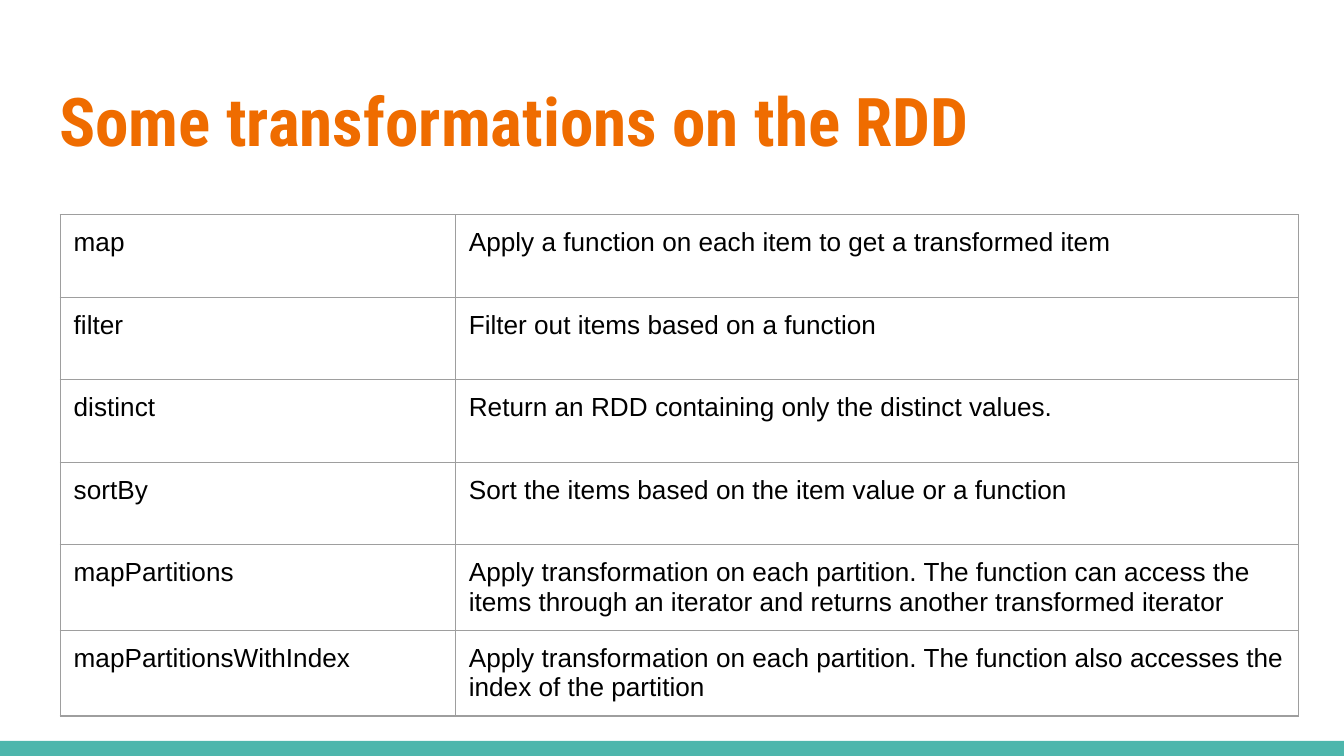
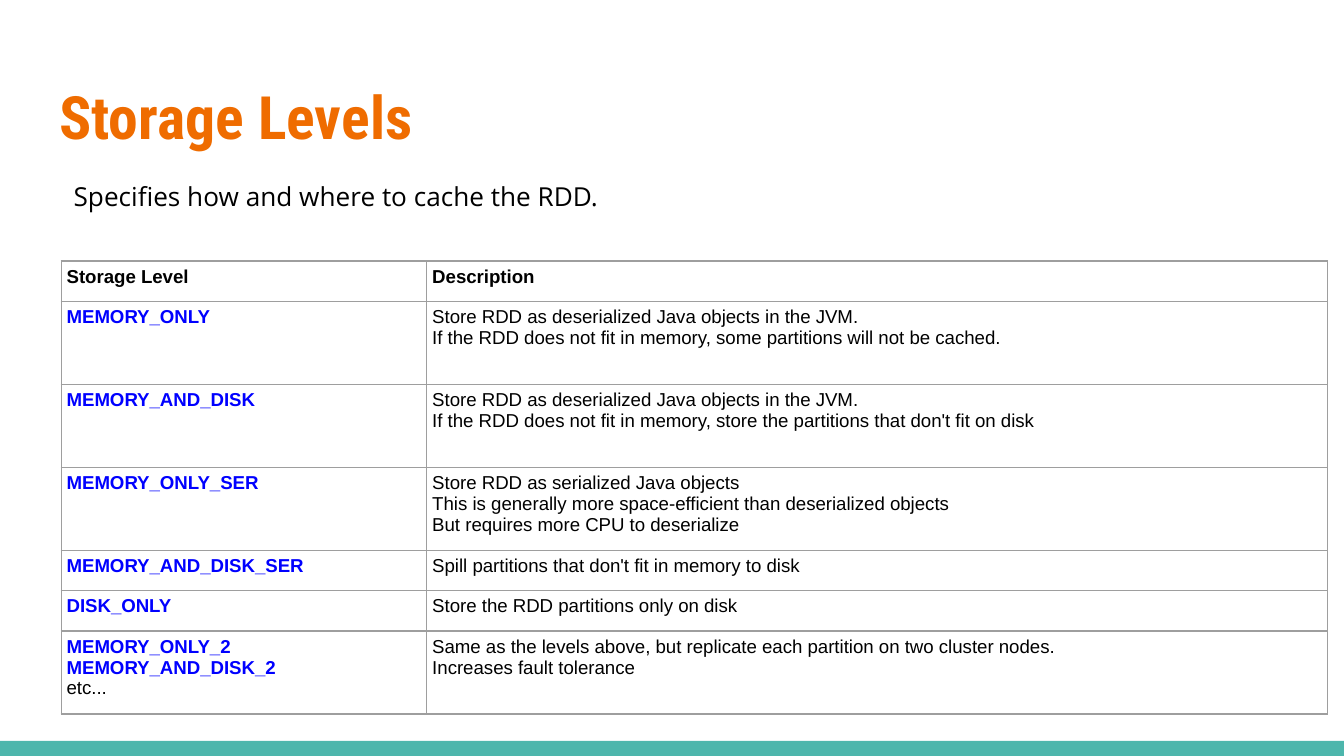
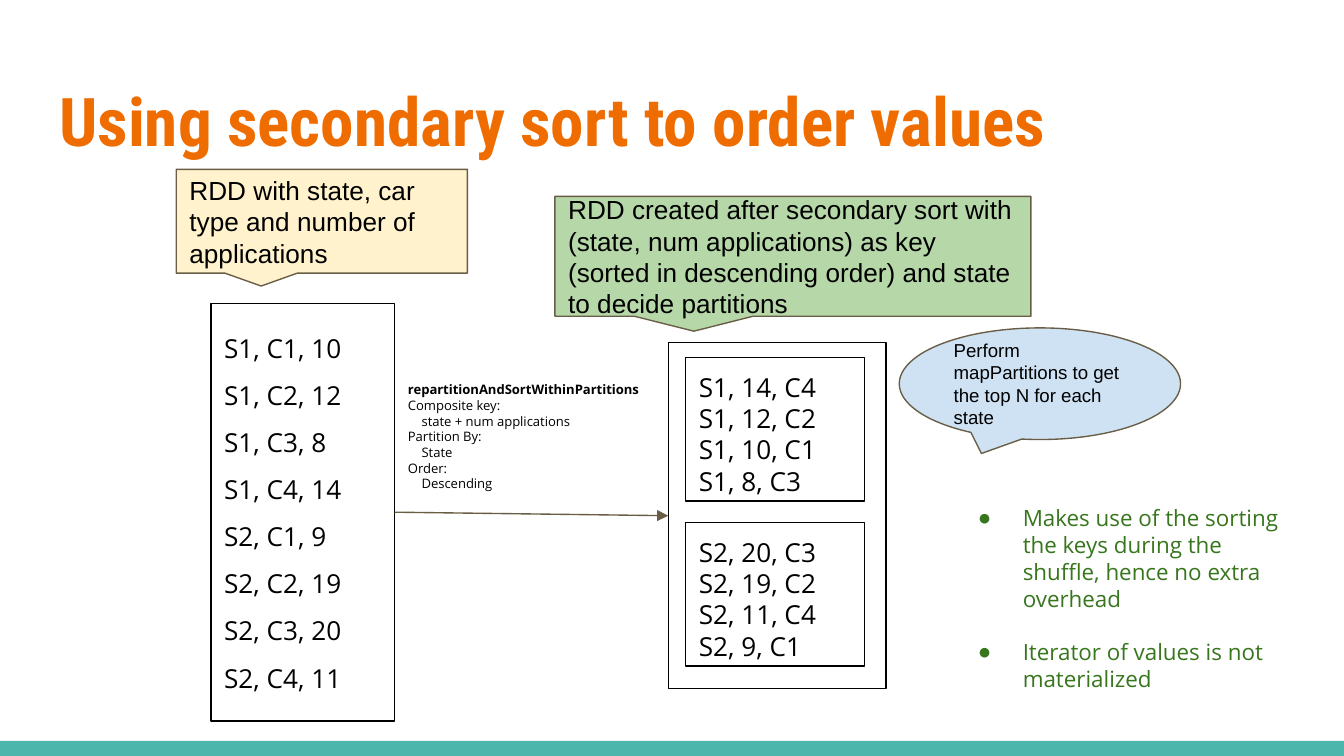
import dataclasses

import lxml.etree
import pptx
import pptx.chart.data
import pptx.dml.color
import pptx.enum.shapes
import pptx.enum.text
import pptx.oxml.ns
import pptx.util

Pt = pptx.util.Pt
qn = pptx.oxml.ns.qn
Kind = pptx.enum.shapes.MSO_SHAPE
Anchor = pptx.enum.text.MSO_ANCHOR


@dataclasses.dataclass(frozen=True)
class Theme:
    head: str = "Roboto Condensed"
    sans: str = "Open Sans"
    plain: str = "Arial"
    orange: str = "EF6C00"
    teal: str = "4DB6AC"
    black: str = "000000"
    blue: str = "0000FF"
    green: str = "38761D"
    grid: str = "9E9E9E"
    brown: str = "695D46"
    cream: str = "FFF2CC"
    mint: str = "B6D7A8"
    sky: str = "CFE2F3"
    big: float = 36
    mid: float = 32
    text: float = 14
    list: float = 12
    small: float = 10
    tiny: float = 7
    line: float = 0.75
    inset: float = 7.2


@dataclasses.dataclass(frozen=True)
class Line:
    text: str
    bold: bool = False
    color: str = Theme.black
    indent: float = 0


THEME = Theme()

MOVES = [
    ("map", "Apply a function on each item to get a transformed item"),
    ("filter", "Filter out items based on a function"),
    ("distinct", "Return an RDD containing only the distinct values."),
    ("sortBy", "Sort the items based on the item value or a function"),
    ("mapPartitions", "Apply transformation on each partition. The function can access the "
     "items through an iterator and returns another transformed iterator"),
    ("mapPartitionsWithIndex", "Apply transformation on each partition. The function also "
     "accesses the index of the partition"),
]

STORE = "Store RDD as deserialized Java objects in the JVM."
LEVELS = [
    (["MEMORY_ONLY"],
     [STORE, "If the RDD does not fit in memory, some partitions will not be cached."]),
    (["MEMORY_AND_DISK"],
     [STORE, "If the RDD does not fit in memory, store the partitions that don't fit on disk"]),
    (["MEMORY_ONLY_SER"],
     ["Store RDD as serialized Java objects",
      "This is generally more space-efficient than deserialized objects",
      "But requires more CPU to deserialize"]),
    (["MEMORY_AND_DISK_SER"], ["Spill partitions that don't fit in memory to disk"]),
    (["DISK_ONLY"], ["Store the RDD partitions only on disk"]),
    (["MEMORY_ONLY_2", "MEMORY_AND_DISK_2", "etc..."],
     ["Same as the levels above, but replicate each partition on two cluster nodes.",
      "Increases fault tolerance"]),
]

INPUT = ["S1, C1, 10", "S1, C2, 12", "S1, C3, 8", "S1, C4, 14",
         "S2, C1, 9", "S2, C2, 19", "S2, C3, 20", "S2, C4, 11"]
PARTS = [["S1, 14, C4", "S1, 12, C2", "S1, 10, C1", "S1, 8, C3"],
         ["S2, 20, C3", "S2, 19, C2", "S2, 11, C4", "S2, 9, C1"]]
STEP = [
    Line("repartitionAndSortWithinPartitions", bold=True),
    Line("Composite key:"), Line("state + num applications", indent=7.3),
    Line("Partition By:"), Line("State", indent=7.3),
    Line("Order:"), Line("Descending", indent=7.3),
]
POINTS = ["Makes use of the sorting the keys during the shuffle, hence no extra overhead",
          "Iterator of values is not materialized"]


def rgb(color):
    return pptx.dml.color.RGBColor.from_string(color)


def plain(items):
    return [Line(item) for item in items]


def place(shape, area):
    shape.left, shape.top, shape.width, shape.height = map(Pt, area)


def write(frame, lines, font, size, space=None, gap=0, bullet=False):
    for count, line in enumerate(lines):
        para = frame.add_paragraph() if count else frame.paragraphs[0]
        props = para._p.get_or_add_pPr()
        if bullet:
            props.set("marL", str(Pt(36)))
            props.set("indent", str(Pt(-24)))
            tint = lxml.etree.SubElement(props, qn("a:buClr"))
            lxml.etree.SubElement(tint, qn("a:srgbClr"), val=line.color)
            lxml.etree.SubElement(props, qn("a:buChar"), char="●")
        elif line.indent:
            props.set("marL", str(Pt(line.indent)))
        para.alignment = pptx.enum.text.PP_ALIGN.LEFT
        para.space_before = Pt(gap if count else 0)
        if space:
            para.line_spacing = space
        run = para.add_run()
        run.text = line.text
        run.font.name = font
        run.font.size = Pt(size)
        run.font.bold = line.bold
        run.font.color.rgb = rgb(line.color)


def setup(shape, anchor=Anchor.TOP):
    frame = shape.text_frame
    frame.word_wrap = True
    frame.auto_size = pptx.enum.text.MSO_AUTO_SIZE.NONE
    frame.vertical_anchor = anchor
    inset = Pt(THEME.inset)
    frame.margin_left = frame.margin_top = frame.margin_right = frame.margin_bottom = inset
    return frame


def start(deck, layout, title, size=THEME.big):
    slide = deck.slides.add_slide(deck.slide_layouts.get_by_name(layout))
    place(slide.shapes.title, (24.5, 35.3, 671, 55.4))
    lines = [Line(title, bold=True, color=THEME.orange)]
    write(setup(slide.shapes.title), lines, THEME.head, size)
    return slide


def shape(slide, kind, area, fill=None, line=None):
    item = slide.shapes.add_shape(kind, *map(Pt, area))
    item.shadow.inherit = False
    if fill:
        item.fill.solid()
        item.fill.fore_color.rgb = rgb(fill)
    else:
        item.fill.background()
    if line:
        item.line.color.rgb = rgb(line)
        item.line.width = Pt(THEME.line)
    else:
        item.line.fill.background()
    return item


def box(slide, area, items, space=None):
    item = shape(slide, Kind.RECTANGLE, area, line=THEME.black)
    write(setup(item), plain(items), THEME.sans, THEME.text, space)


def callout(slide, kind, area, fill, text, size=THEME.text):
    item = shape(slide, kind, area, fill, THEME.brown)
    item.adjustments[0], item.adjustments[1] = -0.208, 0.625
    write(setup(item, Anchor.MIDDLE), [Line(text)], THEME.plain, size)


def label(slide, area, lines, size):
    item = slide.shapes.add_textbox(*map(Pt, area))
    write(setup(item), lines, THEME.sans, size)


def arrow(slide, *ends):
    kind = pptx.enum.shapes.MSO_CONNECTOR.STRAIGHT
    item = slide.shapes.add_connector(kind, *map(Pt, ends))
    item.line.color.rgb = rgb(THEME.brown)
    item.line.width = Pt(THEME.line)
    lxml.etree.SubElement(item.line._get_or_add_ln(), qn("a:tailEnd"), type="triangle")
    lxml.etree.SubElement(item._element.spPr, qn("a:effectLst"))


def border(cell):
    props = cell._tc.get_or_add_tcPr()
    for count, side in enumerate(("a:lnL", "a:lnR", "a:lnT", "a:lnB")):
        edge = lxml.etree.Element(qn(side), w=str(Pt(THEME.line)))
        fill = lxml.etree.SubElement(edge, qn("a:solidFill"))
        lxml.etree.SubElement(fill, qn("a:srgbClr"), val=THEME.grid)
        props.insert(count, edge)


def table(slide, left, top, widths, heights, rows, size, inset):
    area = (left, top, sum(widths), sum(heights))
    grid = slide.shapes.add_table(len(rows), len(widths), *map(Pt, area)).table
    grid.first_row = grid.horz_banding = False
    for column, width in zip(grid.columns, widths):
        column.width = Pt(width)
    for row, height, cells in zip(grid.rows, heights, rows):
        row.height = Pt(height)
        for cell, lines in zip(row.cells, cells):
            cell.margin_left = cell.margin_right = Pt(inset)
            cell.margin_top = cell.margin_bottom = Pt(inset)
            cell.fill.background()
            border(cell)
            write(cell.text_frame, lines, THEME.plain, size)


def level(name):
    coded = name.isupper()
    return Line(name, bold=coded, color=THEME.blue if coded else THEME.black)


def band(deck, slide):
    item = shape(slide, Kind.RECTANGLE, (0, 397, 720, 8), THEME.teal)
    deck.slide_master.shapes.element.insert(2, item.element)


def moves(deck):
    slide = start(deck, "Title Only", "Some transformations on the RDD")
    band(deck, slide)
    rows = [[plain([name]), plain([text])] for name, text in MOVES]
    table(slide, 32.3, 115, (211.7, 451.7), [44.2] * len(rows), rows,
          THEME.text, THEME.inset)


def levels(deck):
    slide = start(deck, "Title Only", "Storage Levels", THEME.mid)
    rows = [[[Line(name, bold=True)] for name in ("Storage Level", "Description")]]
    rows += [[[level(name) for name in names], plain(texts)] for names, texts in LEVELS]
    heights = [44.5 if len(texts) > 1 else 21.6 for _, texts in rows]
    table(slide, 32.8, 139.8, (195.9, 482.4), heights, rows, THEME.small, 2.9)
    label(slide, (32.4, 89.3, 678, 31), plain(["Specifies how and where to cache the RDD."]),
          THEME.text)


def sort(deck):
    slide = start(deck, "Title and Content", "Using secondary sort to order values")
    shape(slide, Kind.RECTANGLE, (358, 183.6, 116.6, 185.4), line=THEME.black)
    box(slide, (113, 162.6, 98.4, 223.8), INPUT, 1.5)
    for count, items in enumerate(PARTS):
        box(slide, (367.3, 191.6 + 88.4 * count, 95.8, 76.8), items)
    callout(slide, Kind.RECTANGULAR_CALLOUT, (94.4, 90.7, 156, 55.6), THEME.cream,
            "RDD with state, car type and number of applications")
    callout(slide, Kind.RECTANGULAR_CALLOUT, (297.3, 105.2, 255, 64.2), THEME.mint,
            "RDD created after secondary sort with (state, num applications) as key "
            "(sorted in descending order) and state to decide partitions")
    callout(slide, Kind.OVAL_CALLOUT, (481.8, 175.7, 150.7, 59.8), THEME.sky,
            "Perform mapPartitions to get the top N for each state", THEME.small)
    arrow(slide, 211.4, 274.4, 358, 276.3)
    label(slide, (211.5, 197.3, 139, 71.3), STEP, THEME.tiny)
    body = slide.placeholders[1]
    place(body, (504.7, 262.8, 194.4, 105.8))
    lines = [Line(text, color=THEME.green) for text in POINTS]
    write(setup(body), lines, THEME.sans, THEME.list, gap=14.4, bullet=True)


def main():
    deck = pptx.Presentation()
    deck.slide_width, deck.slide_height = Pt(720), Pt(405)
    moves(deck)
    levels(deck)
    sort(deck)
    deck.save("out.pptx")


if __name__ == "__main__":
    main()
